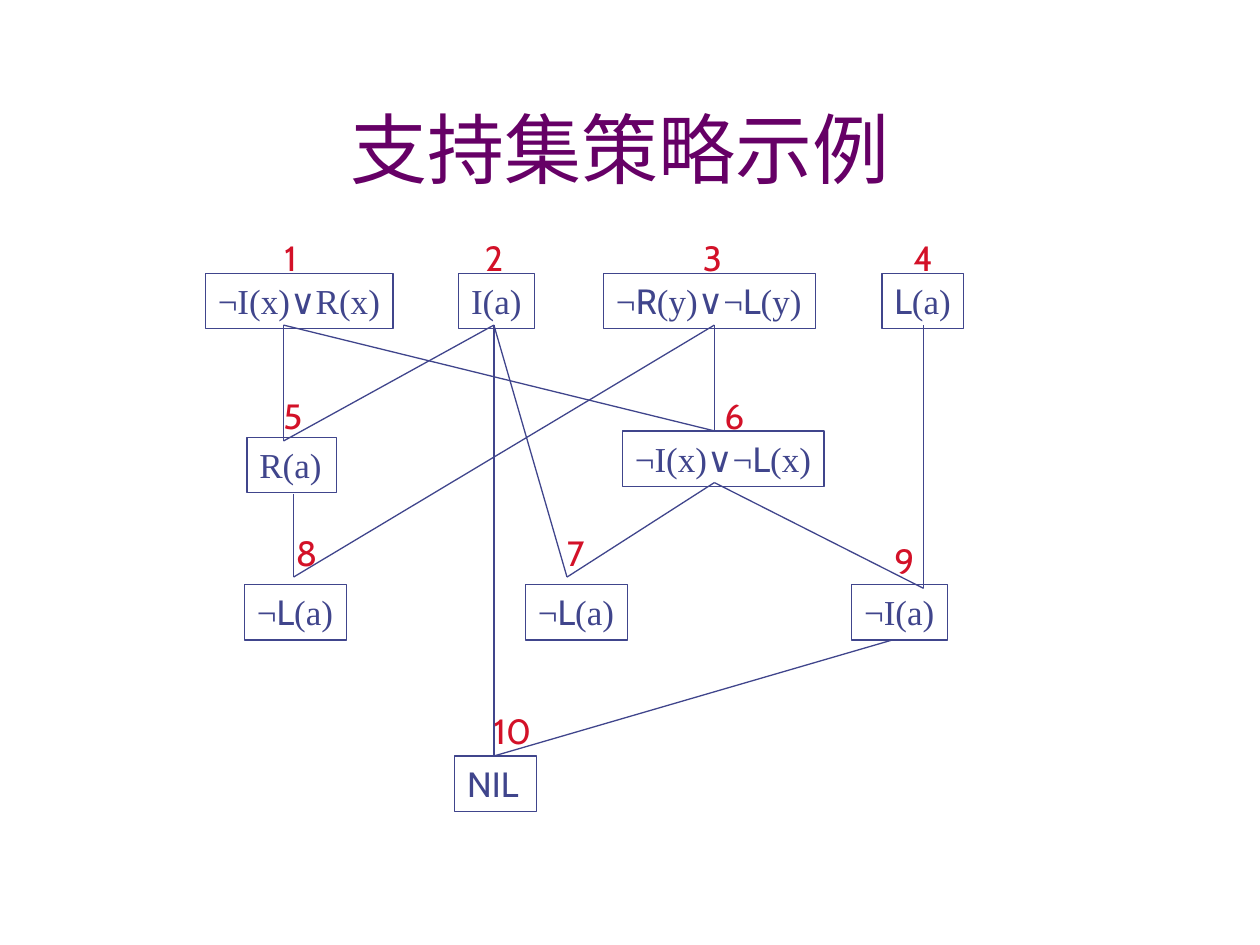
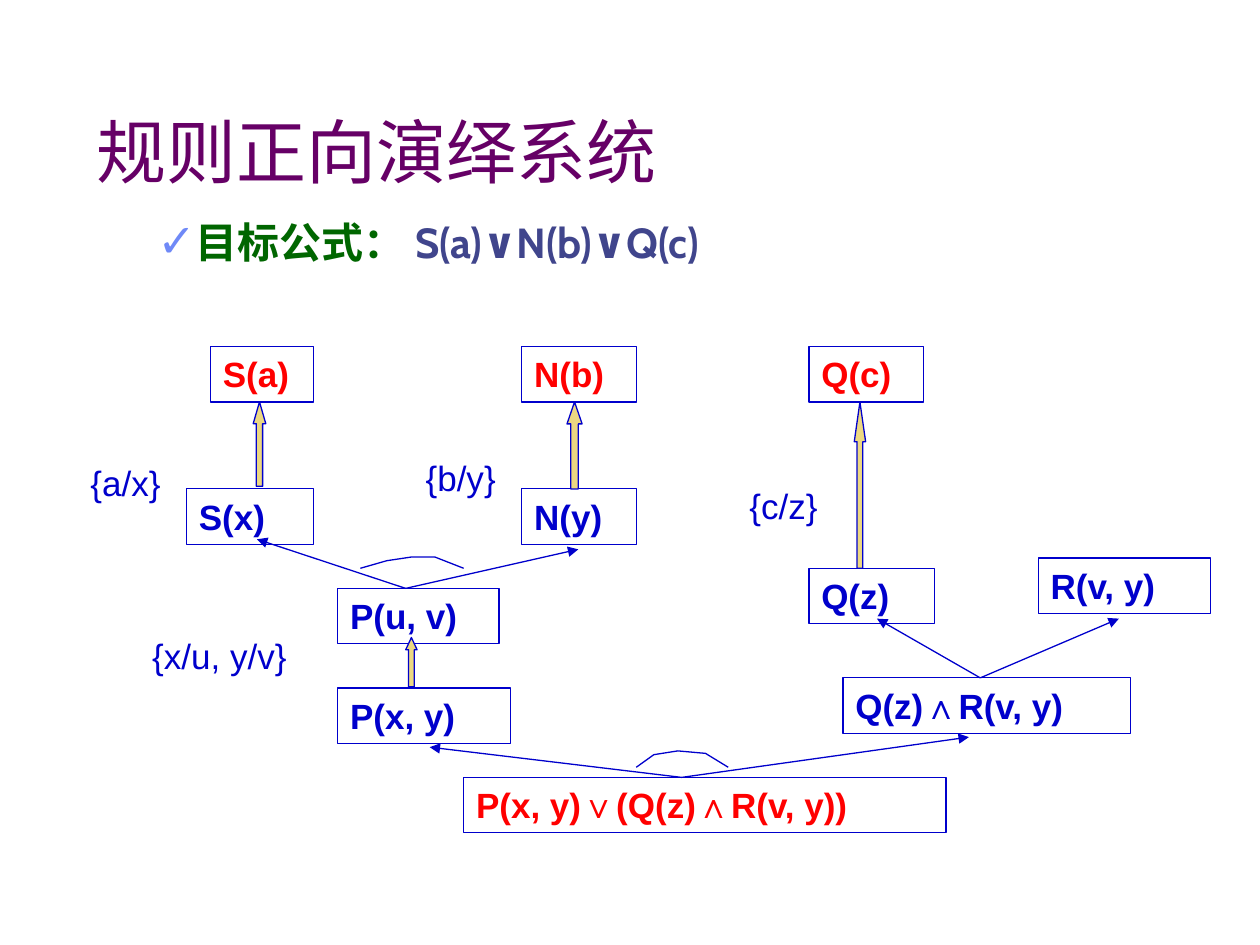
import dataclasses
import typing

import pptx
import pptx.dml.color
import pptx.enum.shapes
import pptx.enum.text
import pptx.oxml.ns
import pptx.util
from lxml import etree

PURPLE = pptx.dml.color.RGBColor(0x66, 0x00, 0x66)
SLATE = pptx.dml.color.RGBColor(0x40, 0x45, 0x8C)
CRIMSON = pptx.dml.color.RGBColor(0xD3, 0x11, 0x28)
BLUE = pptx.dml.color.RGBColor(0x00, 0x00, 0xCC)
RED = pptx.dml.color.RGBColor(0xFF, 0x00, 0x00)
GREEN = pptx.dml.color.RGBColor(0x00, 0x66, 0x00)
GOLD = pptx.dml.color.RGBColor(0xEC, 0xD8, 0x82)
CHECK_BLUE = pptx.dml.color.RGBColor(0x6F, 0x89, 0xF7)

CABIN, TIMES, ARIAL = "Cabin", "Times New Roman", "Arial"
CELL = pptx.util.Inches(0.1)
COLUMNS, ROWS = 100, 75
NODE_HEIGHT = 4.4
LINE_WIDTH = pptx.util.Pt(0.75)
ALIGN = pptx.enum.text.PP_ALIGN
ANCHOR = pptx.enum.text.MSO_ANCHOR
SHAPES = pptx.enum.shapes.MSO_SHAPE


@dataclasses.dataclass
class Box:
    """A region of the slide, measured in grid cells."""
    column: float
    row: float
    width: float
    height: float

    def inner(self, column, row, width, height=NODE_HEIGHT):
        """Return a box placed relative to this one."""
        return Box(self.column + column, self.row + row, width, height)

    def point(self, column, row):
        """Return the slide position of a point in this box."""
        return round((self.column + column) * CELL), round((self.row + row) * CELL)

    def frame(self):
        """Return left, top, width and height on the slide."""
        return (*self.point(0, 0), round(self.width * CELL), round(self.height * CELL))


@dataclasses.dataclass
class Clause:
    """A numbered clause with the points where its lines arrive and leave."""
    text: str
    place: tuple
    number_at: tuple
    head: typing.Optional[tuple] = None
    foot: typing.Optional[tuple] = None


TITLE_BOXES = [Box(6.7, 6.7, 85, 9.2), Box(6.7, 3.3, 85, 12.5)]
PROOF_BOX = Box(15, 18, 65, 47)
GOAL_BOX = Box(8.7, 16.7, 53.4, 5)
TREE_BOX = Box(4, 27, 93, 40)

CLAUSES = [
    Clause("¬I(x)|∨|R(x)", (1.3, 3.7, 14.9), (6.6, 0.3), foot=(7.5, 7.8)),
    Clause("I(a)", (21.4, 3.7, 6), (22.5, 0.3), foot=(24.2, 7.8)),
    Clause("¬|R|(y)|∨|¬|L|(y)", (32.9, 3.7, 16.8), (39.8, 0.3), foot=(41.7, 7.8)),
    Clause("|L|(a)", (55, 3.7, 6.5), (56.5, 0.3), foot=(58.3, 7.8)),
    Clause("R(a)", (4.6, 16.7, 7.1), (6.5, 12.8), (7.5, 17), (8.3, 21.2)),
    Clause("¬I(x)|∨|¬|L|(x)", (34.4, 16.2, 16), (41.5, 12.8), (41.7, 16.2), (41.7, 20.3)),
    Clause("¬|L|(a)", (26.7, 28.4, 8.1), (29, 23.7), head=(30, 27.8)),
    Clause("¬|L|(a)", (4.4, 28.4, 8.1), (7.5, 23.7), head=(8.3, 27.8)),
    Clause("¬I(a)", (52.6, 28.4, 7.6), (55, 24.3), (58.3, 28.7), (55.8, 32.8)),
    Clause("|NIL", (21.1, 42, 6.5), (23.2, 37.8), head=(24.2, 42)),
]
PARENTS = {5: (1, 2), 6: (1, 3), 7: (2, 6), 8: (5, 3), 9: (4, 6), 10: (2, 9)}

FORMULAS = [
    ("S(a)", RED, (12.7, 0.5, 8.2)),
    ("N(b)", RED, (37.4, 0.5, 9.1)),
    ("Q(c)", RED, (60.2, 0.5, 9.1)),
    ("S(x)", BLUE, (10.8, 11.8, 10.1)),
    ("N(y)", BLUE, (37.4, 11.8, 9.1)),
    ("P(u, v)", BLUE, (22.8, 19.7, 12.8)),
    ("P(x, y)", BLUE, (22.8, 27.6, 13.7)),
    ("Q(z)", BLUE, (60.2, 18.1, 10)),
    ("R(v, y)", BLUE, (78.4, 17.3, 13.7)),
    ("Q(z)∧R(v, y)", BLUE, (62.9, 26.8, 22.8)),
    ("P(x, y)∨(Q(z)∧R(v, y))", RED, (32.8, 34.7, 38.3)),
]
BRANCHES = {
    (50.1, 34.7): [(30.1, 32.3), (72.9, 31.5)],
    (73.8, 26.8): [(65.6, 22.1), (84.8, 22.1)],
    (28.2, 19.7): [(16.4, 15.8), (41.9, 16.6)],
}
MATCH_ARROWS = [
    ((28.2, 23.6, 0.9, 3.9), 1.07),
    ((63.8, 4.9, 0.9, 13.2), 3.5),
    ((16.1, 4.9, 1, 6.7), 1.73),
    ((41, 4.9, 1.2, 6.9), 1.45),
]
OR_ARCS = [
    [(46.5, 33.9), (47.9, 32.9), (49.8, 32.6), (52, 32.8), (53.8, 33.9)],
    [(24.6, 18.1), (26.7, 17.5), (28.7, 17.2), (30.5, 17.2), (32.8, 18.1)],
]
SUBSTITUTIONS = [
    ("{a/x}", (2.2, 9.1, 7.6)),
    ("{b/y}", (28.8, 8.7, 7.6)),
    ("{c/z}", (54.5, 11, 8.4)),
    ("{x/u, y/v}", (7.1, 22.9, 13.8)),
]


def add_run(para, text, font, size, color, bold=False):
    """Append one styled run to a paragraph."""
    span = para.add_run()
    span.text = text
    span.font.name = font
    span.font.size = pptx.util.Pt(size)
    span.font.color.rgb = color
    span.font.bold = bold


def prepare_text(shape, wrap, anchor=ANCHOR.TOP, align=ALIGN.LEFT):
    """Set up the text frame of a shape and return its paragraph."""
    frame = shape.text_frame
    frame.word_wrap = wrap
    frame.vertical_anchor = anchor
    if anchor == ANCHOR.TOP:
        frame.auto_size = pptx.enum.text.MSO_AUTO_SIZE.SHAPE_TO_FIT_TEXT
    para = frame.paragraphs[0]
    para.alignment = align
    return para


def outline(shape, color, fill=None):
    """Give a shape a thin line and a plain or empty fill."""
    shape.shadow.inherit = False
    shape.line.color.rgb = color
    shape.line.width = LINE_WIDTH
    if fill is None:
        shape.fill.background()
    else:
        shape.fill.solid()
        shape.fill.fore_color.rgb = fill


def add_node(page, box, color, wrap):
    """Draw an outlined box and return its paragraph."""
    node = page.shapes.add_shape(SHAPES.RECTANGLE, *box.frame())
    outline(node, color)
    return prepare_text(node, wrap)


def add_label(page, box, wrap):
    """Place a plain text box and return its paragraph."""
    return prepare_text(page.shapes.add_textbox(*box.frame()), wrap)


def add_line(page, start, end, color, arrow=False):
    """Draw a straight line, with an arrowhead at its end if asked."""
    line = page.shapes.add_connector(
        pptx.enum.shapes.MSO_CONNECTOR.STRAIGHT, *start, *end)
    line.line.color.rgb = color
    line.line.width = LINE_WIDTH
    if arrow:
        stroke = line.line._get_or_add_ln()
        etree.SubElement(stroke, pptx.oxml.ns.qn("a:tailEnd"), type="triangle")
    etree.SubElement(line._element.spPr, pptx.oxml.ns.qn("a:effectLst"))


def add_title(page, box, text, size, align):
    """Place the slide title on the bottom edge of its box."""
    title = page.shapes.add_textbox(*box.frame())
    para = prepare_text(title, True, ANCHOR.BOTTOM, align)
    add_run(para, text, CABIN, size, PURPLE)


def add_proof(page, box):
    """Draw the numbered clauses and the lines from parents to resolvents."""
    for clause in CLAUSES:
        para = add_node(page, box.inner(*clause.place), SLATE, False)
        for index, part in enumerate(clause.text.split("|")):
            if part:
                add_run(para, part, CABIN if index % 2 else TIMES, 20, SLATE)
    for child, parents in PARENTS.items():
        for parent in parents:
            start = box.point(*CLAUSES[parent - 1].foot)
            add_line(page, start, box.point(*CLAUSES[child - 1].head), SLATE)
    for number, clause in enumerate(CLAUSES, 1):
        width = 2 + 1.6 * len(str(number))
        para = add_label(page, box.inner(*clause.number_at, width), False)
        add_run(para, str(number), CABIN, 20, CRIMSON)


def add_goal(page, box):
    """Write the goal formula as a ticked line."""
    para = add_label(page, box, False)
    properties = para._p.get_or_add_pPr()
    properties.set("marL", str(pptx.util.Inches(0.28)))
    properties.set("indent", "0")
    bullet_color = etree.SubElement(properties, pptx.oxml.ns.qn("a:buClr"))
    etree.SubElement(bullet_color, pptx.oxml.ns.qn("a:srgbClr"), val=str(CHECK_BLUE))
    etree.SubElement(properties, pptx.oxml.ns.qn("a:buSzPct"), val="110000")
    etree.SubElement(properties, pptx.oxml.ns.qn("a:buFont"), typeface=ARIAL)
    etree.SubElement(properties, pptx.oxml.ns.qn("a:buChar"), char="✓")
    add_run(para, "目标公式： ", CABIN, 24, GREEN, True)
    add_run(para, "S(a)∨N(b)∨Q(c)", CABIN, 24, SLATE, True)


def add_tree(page, box):
    """Draw the and-or tree with its matches and substitutions."""
    for text, color, place in FORMULAS:
        para = add_node(page, box.inner(*place), BLUE, True)
        add_run(para, text, ARIAL, 20, color, True)
    for start, ends in BRANCHES.items():
        for end in ends:
            add_line(page, box.point(*start), box.point(*end), BLUE, True)
    for place, head_length in MATCH_ARROWS:
        arrow = page.shapes.add_shape(SHAPES.UP_ARROW, *box.inner(*place).frame())
        arrow.adjustments[0] = 0.5
        arrow.adjustments[1] = head_length
        outline(arrow, BLUE, GOLD)
    for corners in OR_ARCS:
        first, *rest = [box.point(*corner) for corner in corners]
        builder = page.shapes.build_freeform(*first)
        builder.add_line_segments(rest, close=False)
        outline(builder.convert_to_shape(), BLUE)
    for text, place in SUBSTITUTIONS:
        add_run(add_label(page, box.inner(*place), True), text, ARIAL, 20, BLUE)


def build_proof_slide(page):
    """Build the set-of-support example."""
    add_title(page, TITLE_BOXES[0], "支持集策略示例", 44, ALIGN.CENTER)
    add_proof(page, PROOF_BOX)


def build_deduction_slide(page):
    """Build the forward deduction example."""
    add_title(page, TITLE_BOXES[1], "规则正向演绎系统", 40, ALIGN.LEFT)
    add_tree(page, TREE_BOX)
    add_goal(page, GOAL_BOX)


def main():
    """Create the deck and save it."""
    deck = pptx.Presentation()
    deck.slide_width = COLUMNS * CELL
    deck.slide_height = ROWS * CELL
    for build in (build_proof_slide, build_deduction_slide):
        build(deck.slides.add_slide(deck.slide_layouts[6]))
    deck.save("out.pptx")


if __name__ == "__main__":
    main()
